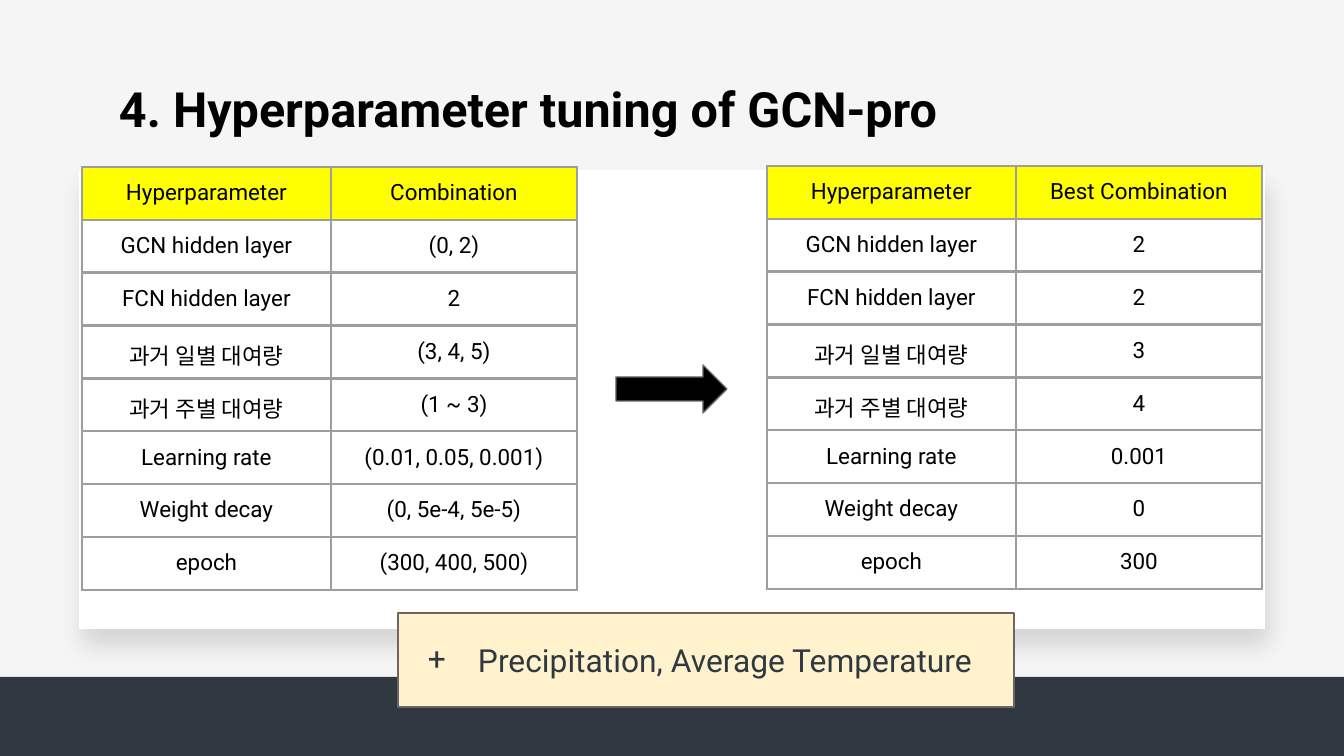
from lxml import etree
from pptx import Presentation
from pptx.dml.color import RGBColor
from pptx.enum.shapes import MSO_SHAPE
from pptx.enum.text import MSO_ANCHOR, PP_ALIGN
from pptx.oxml import parse_xml
from pptx.oxml.ns import nsdecls, qn
from pptx.util import Emu, Pt

RECTANGLE = MSO_SHAPE.RECTANGLE
SNIPPED = MSO_SHAPE.SNIP_2_DIAG_RECTANGLE
ARROW = MSO_SHAPE.RIGHT_ARROW
CENTER = PP_ALIGN.CENTER
LEFT = PP_ALIGN.LEFT
TOP = MSO_ANCHOR.TOP
MIDDLE = MSO_ANCHOR.MIDDLE

FONT = "Roboto"
BLACK = "000000"
WHITE = "FFFFFF"
YELLOW = "FFFF00"
CREAM = "FFF2CC"
NAVY = "303942"
OUTLINE = "6C6465"
BORDER = "9E9E9E"

INSET = 13
ROW_HEIGHT = 51
COLUMN_WIDTHS = (249, 246)
HYPERPARAMETERS = (
    "Hyperparameter", "GCN hidden layer", "FCN hidden layer", "과거 일별 대여량",
    "과거 주별 대여량", "Learning rate", "Weight decay", "epoch",
)
COMBINATIONS = (
    "Combination", "(0, 2)", "2", "(3, 4, 5)",
    "(1 ~ 3)", "(0.01, 0.05, 0.001)", "(0, 5e-4, 5e-5)", "(300, 400, 500)",
)
BEST = ("Best Combination", "2", "2", "3", "4", "0.001", "0", "300")


def px(length):
    """Turn pixels into EMU at 134.4 pixels to the inch."""
    return Emu(round(length * 914400 / 134.4))


def color(value):
    """Turn a hex string into a colour."""
    return RGBColor.from_string(value)


def write(paragraph, text, size=12, ink=BLACK, bold=False, align=LEFT):
    """Put one formatted span into a paragraph."""
    paragraph.alignment = align
    span = paragraph.add_run()
    span.text = text
    span.font.name = FONT
    span.font.size = Pt(size)
    span.font.bold = bold
    span.font.color.rgb = color(ink)


def set_insets(holder):
    """Give a text frame or table cell equal margins."""
    for side in ("left", "top", "right", "bottom"):
        setattr(holder, f"margin_{side}", px(INSET))


def add_shape(page, kind, place, fill, line=None):
    """Add a filled preset shape without a shadow."""
    shape = page.shapes.add_shape(kind, *map(px, place))
    shape.shadow.inherit = False
    shape.fill.solid()
    shape.fill.fore_color.rgb = color(fill)
    if line:
        shape.line.color.rgb = color(line)
        shape.line.width = Pt(0.75)
    else:
        shape.line.fill.background()
    return shape


def add_soft_shadow(shape, blur, distance, angle, opacity):
    """Give a shape a blurred black shadow."""
    effects = shape._element.spPr.find(qn("a:effectLst"))
    effects.append(parse_xml(
        f'<a:outerShdw {nsdecls("a")} blurRad="{Pt(blur)}" dist="{Pt(distance)}" '
        f'dir="{angle * 60000}" algn="bl" rotWithShape="0"><a:srgbClr val="{BLACK}">'
        f'<a:alpha val="{opacity * 1000}"/></a:srgbClr></a:outerShdw>'))


def add_title(page, text, place):
    """Add the heading of the page."""
    frame = page.shapes.add_textbox(*map(px, place)).text_frame
    frame.word_wrap = True
    frame.vertical_anchor = TOP
    set_insets(frame)
    write(frame.paragraphs[0], text, size=26, bold=True)


def add_bullet(paragraph, mark, ink, margin, hang):
    """Give a paragraph a hanging bullet mark."""
    properties = paragraph._p.get_or_add_pPr()
    properties.set("marL", str(px(margin)))
    properties.set("indent", str(px(-hang)))
    bullet_color = etree.SubElement(properties, qn("a:buClr"))
    etree.SubElement(bullet_color, qn("a:srgbClr"), val=ink)
    etree.SubElement(properties, qn("a:buFont"), typeface=FONT)
    etree.SubElement(properties, qn("a:buChar"), char=mark)


def set_borders(cell):
    """Draw a grey line on each side of a cell."""
    properties = cell._tc.get_or_add_tcPr()
    for index, side in enumerate(("lnL", "lnR", "lnT", "lnB")):
        properties.insert(index, parse_xml(
            f'<a:{side} {nsdecls("a")} w="{Pt(1.5)}"><a:solidFill>'
            f'<a:srgbClr val="{BORDER}"/></a:solidFill></a:{side}>'))


def add_settings_table(page, left, top, values):
    """Add a table of hyperparameters and their values."""
    rows = list(zip(HYPERPARAMETERS, values))
    size = (sum(COLUMN_WIDTHS), ROW_HEIGHT * len(rows))
    table = page.shapes.add_table(
        len(rows), len(COLUMN_WIDTHS), px(left), px(top), *map(px, size)).table
    for column, width in zip(table.columns, COLUMN_WIDTHS):
        column.width = px(width)
    for row_index, row in enumerate(rows):
        table.rows[row_index].height = px(ROW_HEIGHT)
        for column_index, text in enumerate(row):
            cell = table.cell(row_index, column_index)
            set_insets(cell)
            cell.fill.solid()
            cell.fill.fore_color.rgb = color(WHITE if row_index else YELLOW)
            set_borders(cell)
            write(cell.text_frame.paragraphs[0], text, align=CENTER)


def add_note(page, text, place):
    """Add the framed note with a plus bullet."""
    frame = add_shape(page, RECTANGLE, place, CREAM, OUTLINE).text_frame
    frame.word_wrap = True
    frame.vertical_anchor = MIDDLE
    set_insets(frame)
    paragraph = frame.paragraphs[0]
    add_bullet(paragraph, "+", NAVY, margin=67, hang=50)
    write(paragraph, text, size=17, ink=NAVY)


def main():
    """Build the slide and save it."""
    deck = Presentation()
    deck.slide_width, deck.slide_height = px(1344), px(756)
    page = deck.slides.add_slide(deck.slide_layouts[6])
    page.background.fill.solid()
    page.background.fill.fore_color.rgb = color("F5F5F5")

    footer = add_shape(page, SNIPPED, (-4, 677, 1356, 85), NAVY)
    footer.adjustments[0] = footer.adjustments[1] = 0
    panel = add_shape(page, RECTANGLE, (79, 170, 1186, 459), WHITE)
    add_soft_shadow(panel, blur=12.4, distance=9, angle=76, opacity=13)

    add_title(page, "4. Hyperparameter tuning of GCN-pro", (106, 66, 1133, 85))
    add_settings_table(page, 82, 167, COMBINATIONS)
    add_shape(page, ARROW, (616, 365, 111, 48), BLACK, OUTLINE)
    add_settings_table(page, 767, 166, BEST)
    add_note(page, "Precipitation, Average Temperature", (398, 613, 616, 94))
    deck.save("out.pptx")


if __name__ == "__main__":
    main()
